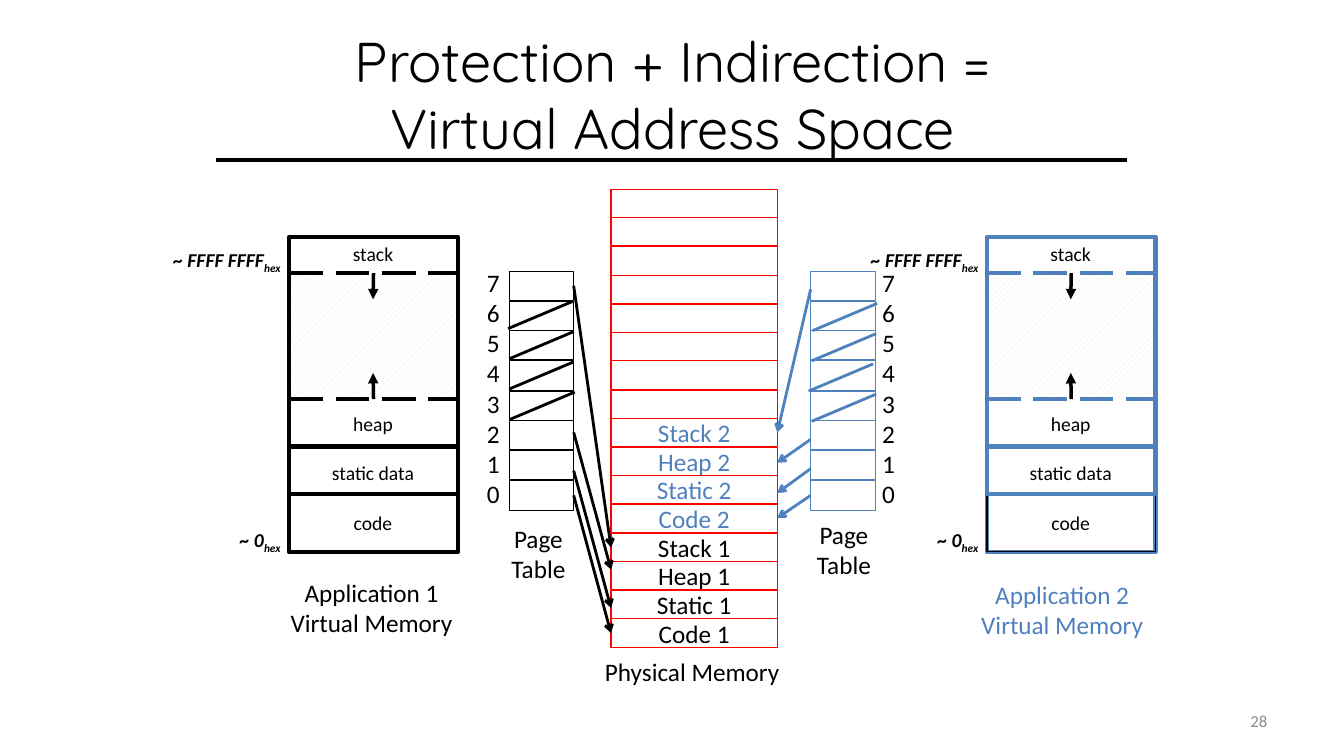
from lxml import etree
from pptx import Presentation
from pptx.dml.color import RGBColor
from pptx.enum.dml import MSO_LINE, MSO_PATTERN
from pptx.enum.shapes import MSO_CONNECTOR, MSO_SHAPE
from pptx.enum.text import MSO_ANCHOR, MSO_AUTO_SIZE, PP_ALIGN
from pptx.oxml.ns import qn
from pptx.util import Pt

SCALE = 9144  # EMU per px, 100 px to the inch
COLORS = {"black": "000000", "blue": "4F81BD", "red": "FF0000",
          "gray": "8C8C8C", "cream": "EEECE1", "white": "FFFFFF"}
LEFT, CENTER, RIGHT = PP_ALIGN.LEFT, PP_ALIGN.CENTER, PP_ALIGN.RIGHT
TOP, MIDDLE = MSO_ANCHOR.TOP, MSO_ANCHOR.MIDDLE
RECT, STRAIGHT = MSO_SHAPE.RECTANGLE, MSO_CONNECTOR.STRAIGHT
DASH, HATCH = MSO_LINE.LONG_DASH, MSO_PATTERN.WIDE_UPWARD_DIAGONAL
NO_FIT = MSO_AUTO_SIZE.NONE
SIDE_TOP, SIDE_LEFT, SIDE_BOTTOM, SIDE_RIGHT = range(4)


def px(*lengths):
    return [n * SCALE for n in lengths]


def rgb(name):
    return RGBColor.from_string(COLORS[name])


def write(shape, text, size=18, color="black", font="Calibri", align=CENTER,
          anchor=TOP, wrap=True, bold=None, italic=None, spacing=None):
    """Fill a shape with text; an underscore starts a subscript."""
    frame = shape.text_frame
    frame.auto_size = NO_FIT
    frame.word_wrap = wrap
    frame.vertical_anchor = anchor
    for i, line in enumerate(text.split("\n")):
        para = frame.add_paragraph() if i else frame.paragraphs[0]
        para.alignment = align
        if spacing:
            para.line_spacing = spacing
        base, _, sub = line.partition("_")
        para.text = base
        if sub:
            run = para.add_run()
            run.text = sub
            run._r.get_or_add_rPr().set("baseline", "-25000")
        for run in para.runs:
            run.font.name, run.font.size = font, Pt(size)
            run.font.bold, run.font.italic = bold, italic
            run.font.color.rgb = rgb(color)


class Board:
    def __init__(self, width, height):
        self.deck = Presentation()
        self.deck.slide_width, self.deck.slide_height = px(width, height)
        self.slide = self.deck.slides.add_slide(self.deck.slide_layouts[5])
        self.shapes = self.slide.shapes

    def title(self, text, x, y, w, h, **style):
        box = self.shapes.title
        box.left, box.top, box.width, box.height = px(x, y, w, h)
        write(box, text, **style)

    def label(self, text, x, y, w, h, **style):
        write(self.shapes.add_textbox(*px(x, y, w, h)), text, **style)

    def rect(self, x, y, w, h, line, weight, text="", hatch=False, **style):
        box = self.shapes.add_shape(RECT, *px(x, y, w, h))
        box.shadow.inherit = False
        if hatch:
            box.fill.patterned()
            box.fill.pattern = HATCH
            box.fill.fore_color.rgb = rgb("cream")
            box.fill.back_color.rgb = rgb("white")
        else:
            box.fill.background()
        box.line.color.rgb = rgb(line)
        box.line.width = Pt(weight)
        if text:
            write(box, text, anchor=MIDDLE, **style)
        return box

    def line(self, x1, y1, x2, y2, color, weight, dash=None, head=None,
             start=None, end=None):
        """Draw a line; start and end are (shape, side) joints."""
        wire = self.shapes.add_connector(STRAIGHT, *px(x1, y1, x2, y2))
        if start:
            wire.begin_connect(*start)
        if end:
            wire.end_connect(*end)
        wire.line.color.rgb = rgb(color)
        wire.line.width = Pt(weight)
        if dash:
            wire.line.dash_style = dash
        props = wire._element.spPr
        if head:
            etree.SubElement(props.find(qn("a:ln")), qn("a:tailEnd"), type=head)
        etree.SubElement(props, qn("a:effectLst"))

    def memory(self, x, color):
        """Draw one application's virtual memory."""
        gap = self.rect(x, 271, 167, 125, "white", 1, hatch=True)
        self.rect(x, 235, 167, 313, color, 3)
        self.rect(x, 490, 167, 57, "black", 1)
        self.rect(x, 443, 167, 47, color, 3)
        for y in (396, 271):
            self.line(x, y, x + 167, y, color, 3, dash=DASH)
        for text, y in (("code", 502), ("static data", 452),
                        ("heap", 404), ("stack", 235)):
            self.label(text, x + 18, y, 130, 34, size=14)
        mid = x + 83
        for y, tip, side in ((396, 370, SIDE_BOTTOM), (271, 297, SIDE_TOP)):
            self.line(mid, y, mid, tip, "black", 2.5, head="triangle",
                      start=(gap, side))
        for text, dx, y, w in (("~ FFFF FFFF_hex", -125, 241, 129),
                               ("~ 0_hex", -59, 519, 98)):
            self.label(text, x + dx, y, w, 34, size=14, align=LEFT,
                       bold=True, italic=True)

    def pages(self, x, digits, color):
        """Draw a page table and return its cells, page 7 first."""
        cells = [self.rect(x, 269 + round(29.7 * i), 64, 29, color, 0.75)
                 for i in range(8)]
        self.label("\n".join("76543210"), digits, 260, 33, 252,
                   align=LEFT, wrap=False)
        return cells


def main():
    board = Board(1333, 750)
    board.title("Protection + Indirection =\vVirtual Address Space",
                67, 30, 1200, 125, size=40, font="Quicksand", anchor=MIDDLE)
    board.line(214, 159, 1118, 159, "black", 3)
    board.label("28", 956, 695, 311, 40, size=12, color="gray",
                align=RIGHT, anchor=MIDDLE)

    for n, x, left, top, color in ((1, 287, 277, 568, "black"),
                                   (2, 979, 962, 570, "blue")):
        board.memory(x, color)
        board.label(f"Application {n}\nVirtual Memory", left, top, 183, 71,
                    color=color, wrap=False)

    first = board.pages(505, 473, "black")
    second = board.pages(804, 865, "blue")
    for x, y in ((497, 514), (800, 510)):
        board.label("Page\vTable", x, y, 74, 71, wrap=False)

    parts = ("Stack", "Heap", "Static", "Code")
    names = [""] * 8 + [f"{part} {n}" for n in (2, 1) for part in parts]
    frames = {}
    for i, name in enumerate(names):
        color = "blue" if name.endswith("2") else "black"
        frames[name] = board.rect(606, 188 + round(28.4 * i), 165, 28,
                                  "red", 0.75, name, color=color)
    board.label("Physical Memory", 589, 646, 195, 40, wrap=False)

    # page, its y, frame, its y, joined at start, joined at end
    links = (
        (first, "black", 569, 606, SIDE_RIGHT, SIDE_LEFT, (
            (7, 492, "Code 1", 628, True, True),
            (6, 467, "Static 1", 603, False, False),
            (5, 429, "Heap 1", 565, False, False),
            (0, 283, "Stack 1", 543, True, True))),
        (second, "blue", 804, 771, SIDE_LEFT, SIDE_RIGHT, (
            (7, 490, "Code 2", 514, True, True),
            (6, 465, "Static 2", 489, False, False),
            (5, 436, "Heap 2", 459, False, False),
            (0, 287, "Stack 2", 429, False, True))))
    for cells, color, x1, x2, out, into, rows in links:
        for page, y1, name, y2, begin, finish in rows:
            board.line(x1, y1, x2, y2, color, 2, head="arrow",
                       start=(cells[page], out) if begin else None,
                       end=(frames[name], into) if finish else None)

    for color, top, lefts in (("black", 326, (504, 505, 505, 506)),
                              ("blue", 328, (806, 805, 802, 805))):
        for i, x in enumerate(lefts):
            y = top + 30 * i
            board.line(x, y, x + 64, y - 27, color, 2)

    board.deck.save("out.pptx")


if __name__ == "__main__":
    main()
